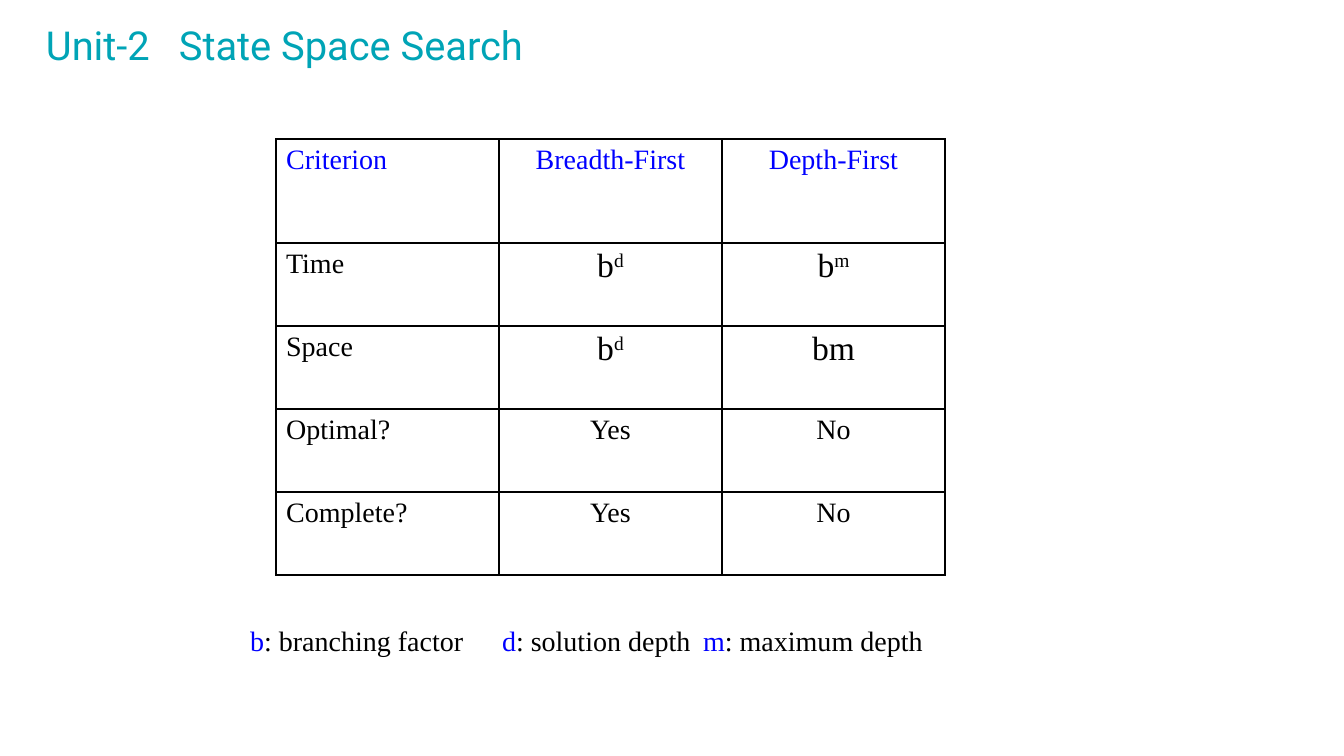
from dataclasses import dataclass

from lxml.etree import SubElement
from pptx import Presentation
from pptx.dml.color import RGBColor
from pptx.enum.text import PP_ALIGN
from pptx.oxml.ns import qn
from pptx.util import Emu, Pt

EMU_PER_INCH = 914400
PX_PER_INCH = 100.8
TEAL = RGBColor(0x00, 0xA4, 0xB6)
BLUE = RGBColor(0x00, 0x00, 0xFF)
BLACK = RGBColor(0x00, 0x00, 0x00)
SERIF = "Times New Roman"
COLUMN_WIDTH = 223
ROW_HEIGHTS = [104, 83, 83, 83, 83]


@dataclass(frozen=True)
class Span:
    """A stretch of text with its colour and position on the line."""

    text: str
    color: RGBColor = BLACK
    raised: bool = False


@dataclass(frozen=True)
class Entry:
    """The spans of one paragraph with their shared font."""

    spans: list[Span]
    size: float = 20
    font: str = SERIF
    tabs: tuple[int, ...] = ()


@dataclass(frozen=True)
class Caption:
    """A text box with one paragraph."""

    left: int
    top: int
    width: int
    height: int
    inset: int
    entry: Entry
    line_spacing: float = 1.0


def px(length: int) -> Emu:
    """Turn pixels into EMU."""
    return Emu(round(length * EMU_PER_INCH / PX_PER_INCH))


def plain(text: str, color: RGBColor = BLACK, size: float = 20) -> Entry:
    """Make an entry of a single span."""
    return Entry([Span(text, color)], size)


def power(base: str, exponent: str) -> Entry:
    """Make an entry with a raised exponent."""
    return Entry([Span(base), Span(exponent, raised=True)], 24)


def write_entry(para, entry: Entry) -> None:
    """Fill a paragraph with the spans of an entry."""
    if entry.tabs:
        stops = SubElement(para._p.get_or_add_pPr(), qn("a:tabLst"))
        for position in entry.tabs:
            SubElement(stops, qn("a:tab"), pos=str(px(position)), algn="l")
    para.font.size = Pt(entry.size)
    para.font.name = entry.font
    for span in entry.spans:
        run = para.add_run()
        run.text = span.text
        run.font.color.rgb = span.color
        if span.raised:
            run._r.get_or_add_rPr().set("baseline", "30000")


def add_caption(page, caption: Caption) -> None:
    """Draw a text box."""
    box = page.shapes.add_textbox(
        px(caption.left), px(caption.top), px(caption.width), px(caption.height)
    )
    frame = box.text_frame
    frame.word_wrap = True
    frame.margin_top = frame.margin_bottom = px(caption.inset)
    frame.margin_left = frame.margin_right = px(10)
    para = frame.paragraphs[0]
    write_entry(para, caption.entry)
    para.line_spacing = caption.line_spacing


def style_cell(cell) -> None:
    """Give a cell thin black borders and no fill."""
    properties = cell._tc.get_or_add_tcPr()
    for side in ("lnL", "lnR", "lnT", "lnB"):
        line = SubElement(properties, qn(f"a:{side}"), w=str(Pt(1)))
        fill = SubElement(line, qn("a:solidFill"))
        SubElement(fill, qn("a:srgbClr"), val=str(BLACK))
    cell.fill.background()


def add_comparison(page, left: int, top: int, rows: list[list[Entry]]) -> None:
    """Draw the table of search criteria."""
    count = len(rows[0])
    table = page.shapes.add_table(
        len(rows), count, px(left), px(top),
        px(COLUMN_WIDTH * count), px(sum(ROW_HEIGHTS)),
    ).table
    table.first_row = table.horz_banding = False
    for column in table.columns:
        column.width = px(COLUMN_WIDTH)
    for row, height in zip(table.rows, ROW_HEIGHTS):
        row.height = px(height)
    for row, entries in zip(table.rows, rows):
        for index, (cell, entry) in enumerate(zip(row.cells, entries)):
            style_cell(cell)
            para = cell.text_frame.paragraphs[0]
            para.alignment = PP_ALIGN.CENTER if index else PP_ALIGN.LEFT
            write_entry(para, entry)


TITLE = Caption(
    36, 20, 940, 76, 10,
    Entry([Span("Unit-2\tState Space Search", TEAL)], 28.5, "Roboto", (133,)),
    0.8,
)
LEGEND = Caption(
    240, 619, 865, 43, 5,
    Entry(
        [
            Span("b", BLUE), Span(": branching factor\t"),
            Span("d", BLUE), Span(": solution depth\t"),
            Span("m", BLUE), Span(": maximum depth"),
        ],
        tabs=(252, 453),
    ),
)
COMPARISON = [
    [plain(name, BLUE) for name in ("Criterion", "Breadth-First", "Depth-First")],
    [plain("Time"), power("b", "d"), power("b", "m")],
    [plain("Space"), power("b", "d"), plain("bm", size=24)],
    [plain("Optimal?"), plain("Yes"), plain("No")],
    [plain("Complete?"), plain("Yes"), plain("No")],
]


def main() -> None:
    """Build the slide and save it."""
    deck = Presentation()
    deck.slide_width, deck.slide_height = px(1344), px(756)
    page = deck.slides.add_slide(deck.slide_layouts[6])
    add_caption(page, TITLE)
    add_comparison(page, 276, 139, COMPARISON)
    add_caption(page, LEGEND)
    deck.save("out.pptx")


if __name__ == "__main__":
    main()
